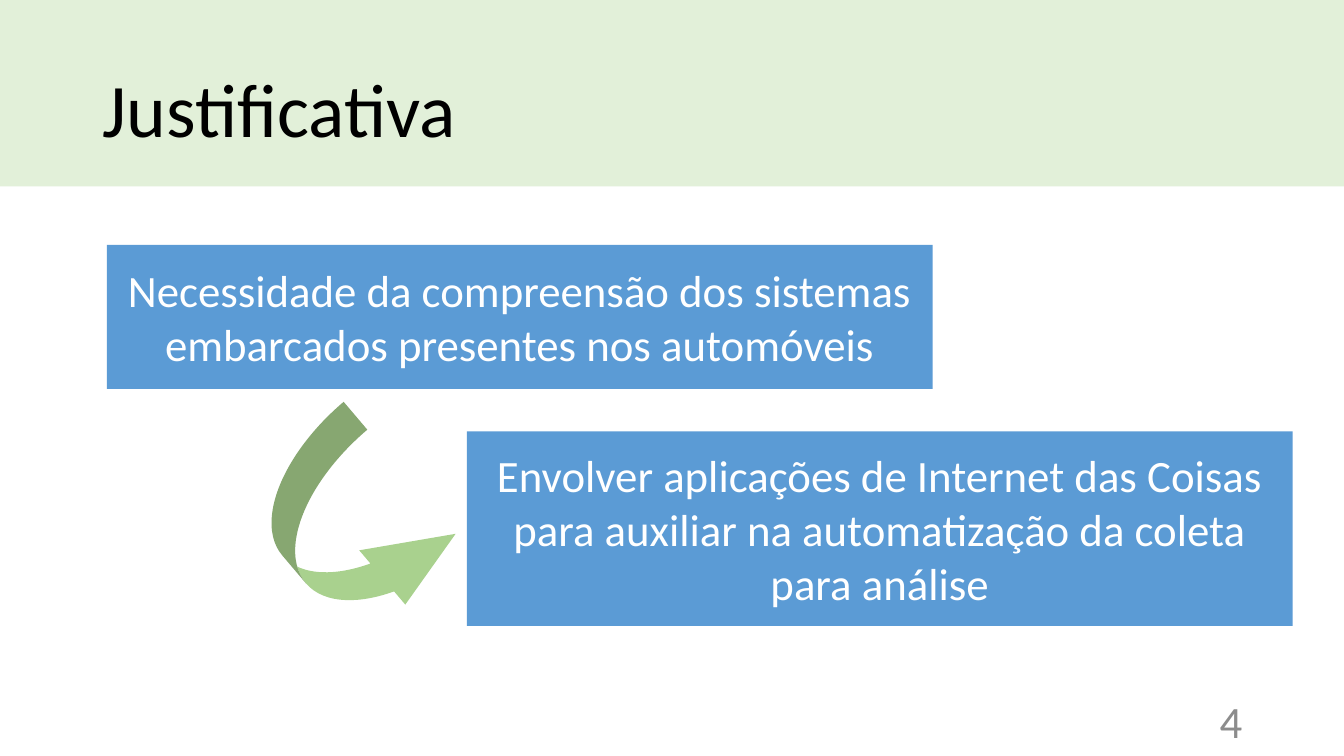
from pptx import Presentation
from pptx.dml.color import RGBColor
from pptx.enum.shapes import MSO_SHAPE
from pptx.enum.text import MSO_ANCHOR, PP_ALIGN
from pptx.util import Inches, Pt

presentation = Presentation()
presentation.slide_width = Inches(13.33)
presentation.slide_height = Inches(7.5)
slide = presentation.slides.add_slide(presentation.slide_layouts[6])


def add_filled_shape(kind, left, top, width, height, color):
    shape = slide.shapes.add_shape(
        kind, Inches(left), Inches(top), Inches(width), Inches(height))
    shape.shadow.inherit = False
    shape.fill.solid()
    shape.fill.fore_color.rgb = RGBColor.from_string(color)
    shape.line.fill.background()
    return shape


def write_text(shape, text, size=32, color="FFFFFF", align=PP_ALIGN.CENTER, spacing=1.0):
    frame = shape.text_frame
    frame.word_wrap = True
    frame.vertical_anchor = MSO_ANCHOR.MIDDLE
    paragraph = frame.paragraphs[0]
    paragraph.text = text
    paragraph.alignment = align
    paragraph.line_spacing = spacing
    paragraph.font.name = "Calibri"
    paragraph.font.size = Pt(size)
    paragraph.font.color.rgb = RGBColor.from_string(color)


add_filled_shape(MSO_SHAPE.RECTANGLE, 0, 0, 13.33, 1.85, "E2F0D9")

title = slide.shapes.add_textbox(Inches(0.92), Inches(0.4), Inches(11.5), Inches(1.45))
write_text(title, "Justificativa", size=54, color="000000",
           align=PP_ALIGN.LEFT, spacing=0.9)

page_number = slide.shapes.add_textbox(Inches(9.42), Inches(6.95), Inches(3), Inches(0.4))
write_text(page_number, "4", color="8C8C8C", align=PP_ALIGN.RIGHT)

reasons = [
    (1.06, 2.43, 1.43,
     "Necessidade da compreensão dos sistemas embarcados presentes nos automóveis"),
    (4.63, 4.28, 1.93,
     "Envolver aplicações de Internet das Coisas para auxiliar na automatização "
     "da coleta para análise"),
]
for left, top, height, text in reasons:
    box = add_filled_shape(MSO_SHAPE.RECTANGLE, left, top, 8.19, height, "5B9BD5")
    write_text(box, text)

arrow = add_filled_shape(MSO_SHAPE.CURVED_UP_ARROW, 2.49, 4.52, 2.07, 1.45, "A9D18E")
arrow.rotation = 49.7
for index, value in enumerate([0.25, 0.487, 0.576]):
    arrow.adjustments[index] = value

presentation.save("out.pptx")
